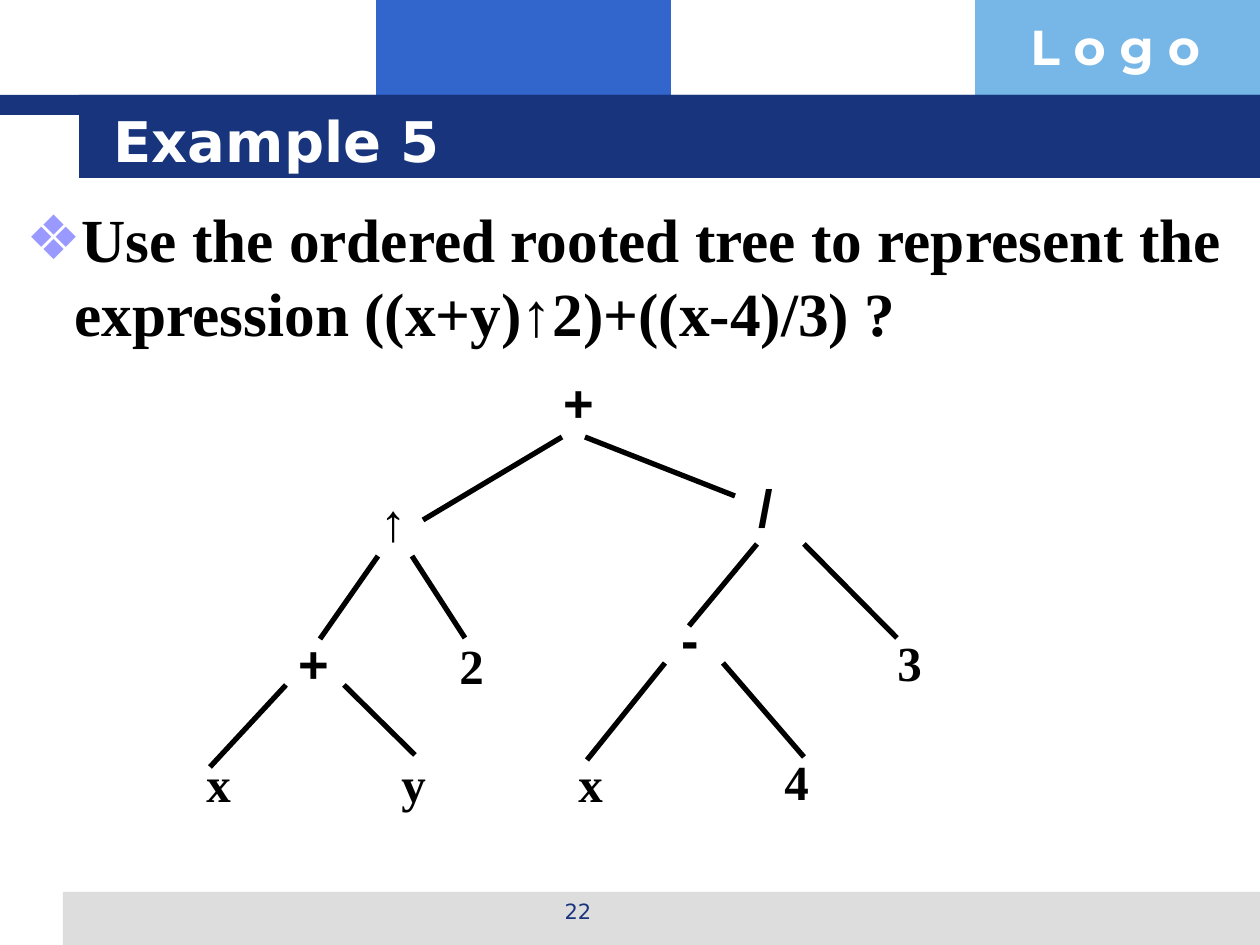
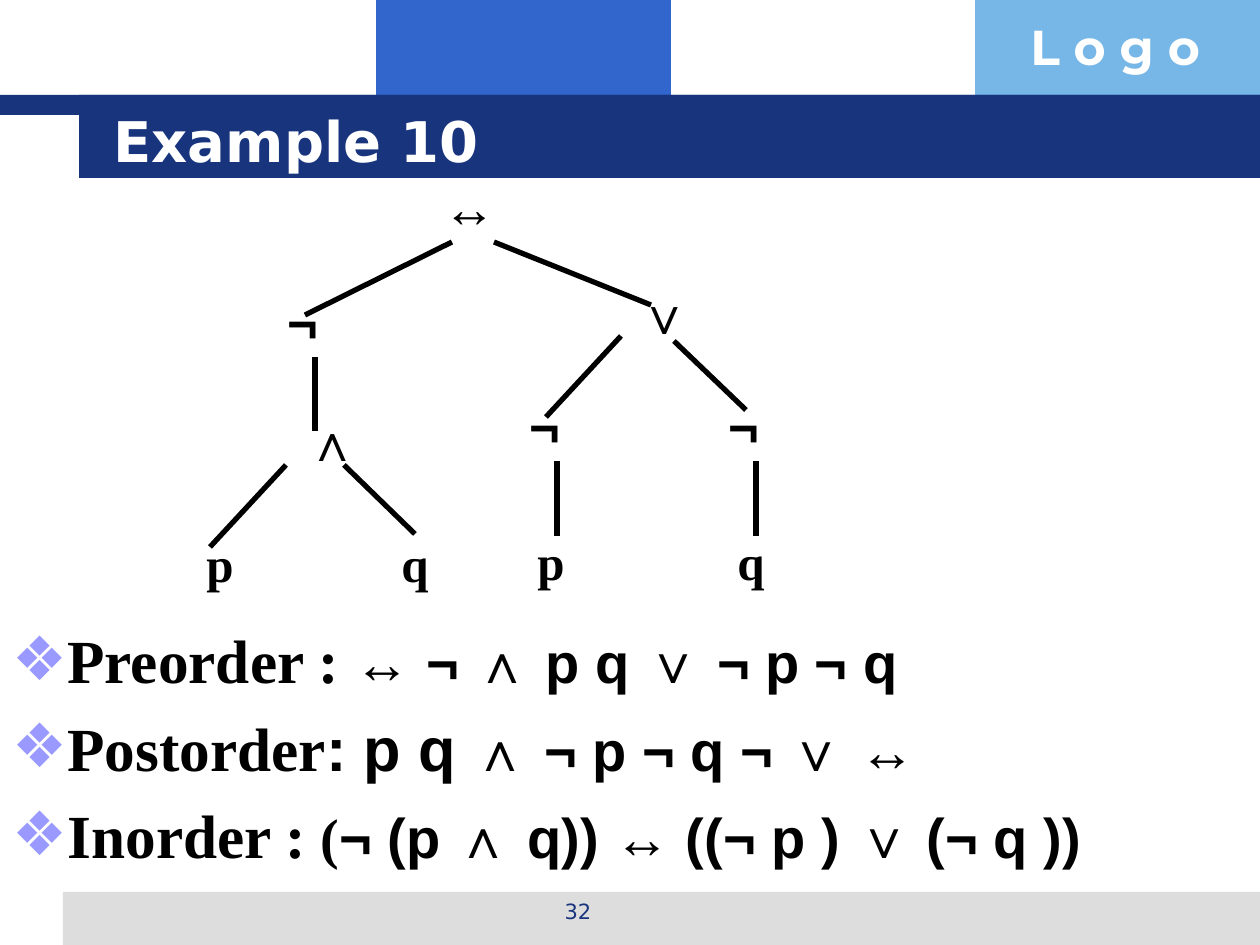
"""Build two discrete-maths slides on expression trees and their traversals."""
from dataclasses import dataclass

from lxml.etree import SubElement
from pptx import Presentation
from pptx.dml.color import RGBColor as Rgb
from pptx.enum.shapes import MSO_CONNECTOR as Connector, MSO_SHAPE as Shape
from pptx.enum.text import MSO_ANCHOR as Anchor, MSO_AUTO_SIZE as AutoSize, PP_ALIGN as Align
from pptx.oxml.ns import qn
from pptx.util import Emu, Pt


@dataclass(frozen=True)
class Theme:
    navy: str = "17347D"
    blue: str = "3366CC"
    sky: str = "77B7E7"
    grey: str = "DDDDDD"
    lilac: str = "9999FF"
    white: str = "FFFFFF"
    ink: str = "000000"
    heading: str = "DejaVu Sans"
    logo: str = "Montserrat"
    serif: str = "Times New Roman"
    sans: str = "Arial"
    title_size: int = 32
    list_size: int = 35
    formula_size: int = 32
    operator_size: int = 30
    operand_size: int = 28
    logo_size: int = 28
    page_size: int = 12
    list_gap: int = 8
    branch_width: int = 3


THEME = Theme()
EMU_PER_PX = 914400 / 126
SERIF = (THEME.serif, THEME.list_size)
FORMULA = (THEME.sans, THEME.formula_size)

BANDS = [
    (THEME.blue, (376, 0, 295, 116)),
    (THEME.sky, (975, 0, 285, 116)),
    (THEME.grey, (63, 892, 1197, 53)),
    (THEME.navy, (0, 95, 1260, 20)),
    (THEME.navy, (79, 95, 1181, 83)),
]
LOGO_BOX = (1018, 10, 243, 72)
TITLE_BOX = (101, 101, 1075, 78)
PAGE_BOX = (431, 892, 294, 44)
LIST_INDENT = 48
LABEL_WIDTHS = {"+": 55, "↑": 52, "/": 39, "-": 43, "∧": 43, "∨": 43,
                "¬": 59, "↔": 78, "p": 52, "q": 52}
OPERAND_WIDTH, OPERAND_HEIGHT, OPERATOR_HEIGHT = 49, 72, 76

EXAMPLES = [
    {
        "title": "Example 5",
        "page": "22",
        "list_box": (14, 195, 1239, 665),
        "list": [
            [("Use the ordered rooted tree to represent the expression "
              "((x+y)↑2)+((x-4)/3) ?", SERIF)],
        ],
        "nodes": [
            ("+", 551, 364), ("↑", 368, 483), ("/", 746, 469),
            ("+", 286, 625), ("2", 447, 629), ("-", 669, 601), ("3", 885, 626),
            ("x", 194, 747), ("y", 389, 747), ("x", 566, 747), ("4", 772, 745),
        ],
        "branches": [
            (562, 437, 423, 520), (585, 437, 735, 496),
            (378, 556, 320, 639), (412, 556, 465, 638),
            (286, 685, 210, 767), (344, 685, 415, 755),
            (757, 544, 689, 626), (804, 544, 897, 638),
            (665, 663, 587, 760), (723, 663, 804, 757),
        ],
    },
    {
        "title": "Example 10",
        "page": "32",
        "list_box": (0, 616, 1225, 266),
        "list": [
            [("Preorder : ", SERIF), ("↔ ¬ ∧ p q ∨ ¬ p ¬ q", FORMULA)],
            [("Postorder", SERIF), (": p q ", (THEME.sans, THEME.list_size)),
             ("∧ ¬ p ¬ q ¬ ∨ ↔", FORMULA)],
            [("Inorder :", SERIF), (" (", (THEME.serif, THEME.formula_size)),
             ("¬ (p ∧ q)) ↔ ((¬ p ) ∨ (¬ q ))", FORMULA)],
        ],
        "nodes": [
            ("↔", 431, 169), ("¬", 275, 284), ("∨", 626, 276),
            ("∧", 294, 403), ("¬", 517, 388), ("¬", 716, 388),
            ("p", 194, 527), ("q", 389, 527), ("p", 525, 525), ("q", 725, 525),
        ],
        "branches": [
            (452, 242, 305, 315), (494, 242, 651, 305), (315, 357, 315, 431),
            (286, 465, 210, 547), (344, 465, 415, 534),
            (621, 336, 546, 417), (674, 341, 746, 410),
            (557, 461, 557, 536), (756, 461, 756, 536),
        ],
    },
]


def px(*lengths):
    return [Emu(round(length * EMU_PER_PX)) for length in lengths]


def style(font, face, size, color, bold=True):
    font.name, font.size, font.bold = face, Pt(size), bold
    font.color.rgb = Rgb.from_string(color)


def place(placeholder, box):
    placeholder.left, placeholder.top, placeholder.width, placeholder.height = px(*box)
    placeholder.text_frame.auto_size = AutoSize.NONE
    return placeholder.text_frame


def add_label(slide, text, box, face, size, color, bold=True, wrap=True, align=Align.LEFT):
    label = slide.shapes.add_textbox(*px(*box))
    frame = label.text_frame
    frame.word_wrap = wrap
    frame.auto_size = AutoSize.NONE if wrap else AutoSize.SHAPE_TO_FIT_TEXT
    line = frame.paragraphs[0]
    line.text, line.alignment = text, align
    style(line.font, face, size, color, bold)
    return label


def move_bands_to_layout(slide):
    decor = []
    for color, box in BANDS:
        band = slide.shapes.add_shape(Shape.RECTANGLE, *px(*box))
        band.shadow.inherit = False
        band.fill.solid()
        band.fill.fore_color.rgb = Rgb.from_string(color)
        band.line.fill.background()
        decor.append(band)
    decor.append(add_label(slide, "L o g o", LOGO_BOX, THEME.logo, THEME.logo_size, THEME.white))
    tree = slide.slide_layout.shapes.element
    for order, part in enumerate(decor):
        part.element.nvSpPr.cNvPr.set("id", str(100 + order))
        tree.insert(2 + order, part.element)


def add_bullet(paragraph):
    indent = px(LIST_INDENT)[0]
    props = paragraph._p.get_or_add_pPr()
    props.set("marL", str(indent))
    props.set("indent", str(-indent))
    color = SubElement(props, qn("a:buClr"))
    SubElement(color, qn("a:srgbClr"), val=THEME.lilac)
    SubElement(props, qn("a:buFont"), typeface=THEME.heading)
    SubElement(props, qn("a:buChar"), char="❖")


def fill_list(frame, items):
    for index, pieces in enumerate(items):
        item = frame.add_paragraph() if index else frame.paragraphs[0]
        item.space_before = Pt(THEME.list_gap if index else 0)
        add_bullet(item)
        style(item.font, *pieces[0][1], THEME.ink)
        for text, (face, size) in pieces:
            run = item.add_run()
            run.text = text
            if len(pieces) > 1:
                run.font.name, run.font.size = face, Pt(size)


def add_tree(slide, nodes, branches):
    for x1, y1, x2, y2 in branches:
        branch = slide.shapes.add_connector(Connector.STRAIGHT, *px(x1, y1, x2, y2))
        branch.line.color.rgb = Rgb.from_string(THEME.ink)
        branch.line.width = Pt(THEME.branch_width)
        SubElement(branch.element.spPr, qn("a:effectLst"))
    for symbol, left, top in nodes:
        if symbol.isalnum():
            height, face, size = OPERAND_HEIGHT, THEME.serif, THEME.operand_size
        else:
            height, face, size = OPERATOR_HEIGHT, THEME.sans, THEME.operator_size
        box = (left, top, LABEL_WIDTHS.get(symbol, OPERAND_WIDTH), height)
        add_label(slide, symbol, box, face, size, THEME.ink, wrap=False)


def add_example(deck, example):
    slide = deck.slides.add_slide(deck.slide_layouts[1])
    heading = place(slide.shapes.title, TITLE_BOX)
    heading.vertical_anchor = Anchor.MIDDLE
    line = heading.paragraphs[0]
    line.text, line.alignment = example["title"], Align.LEFT
    style(line.font, THEME.heading, THEME.title_size, THEME.white)
    fill_list(place(slide.placeholders[1], example["list_box"]), example["list"])
    add_tree(slide, example["nodes"], example["branches"])
    add_label(slide, example["page"], PAGE_BOX, THEME.heading, THEME.page_size,
              THEME.navy, bold=False, align=Align.CENTER)
    return slide


def main():
    deck = Presentation()
    deck.slide_width, deck.slide_height = px(1260, 945)
    slides = [add_example(deck, example) for example in EXAMPLES]
    move_bands_to_layout(slides[0])
    deck.save("out.pptx")


if __name__ == "__main__":
    main()
